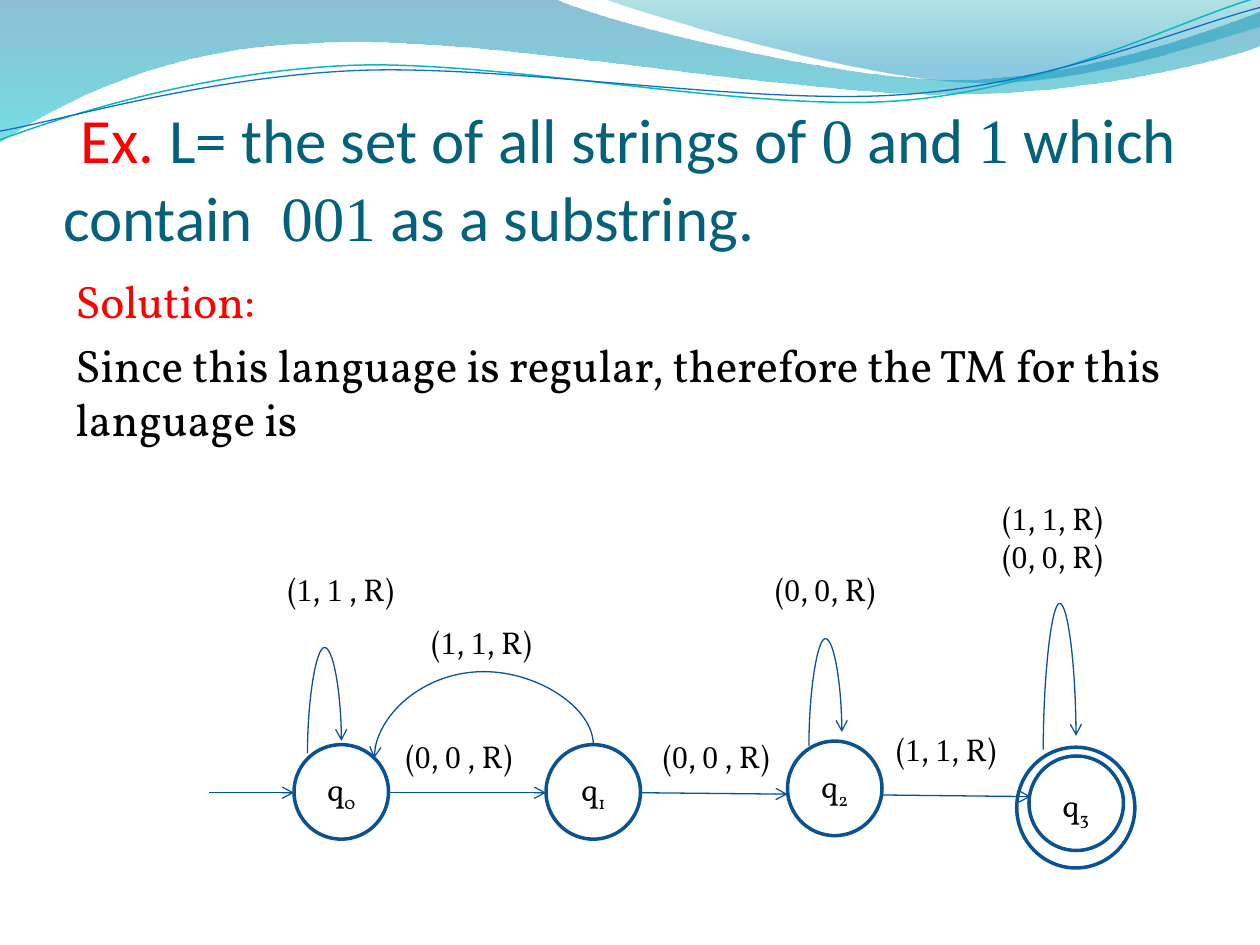
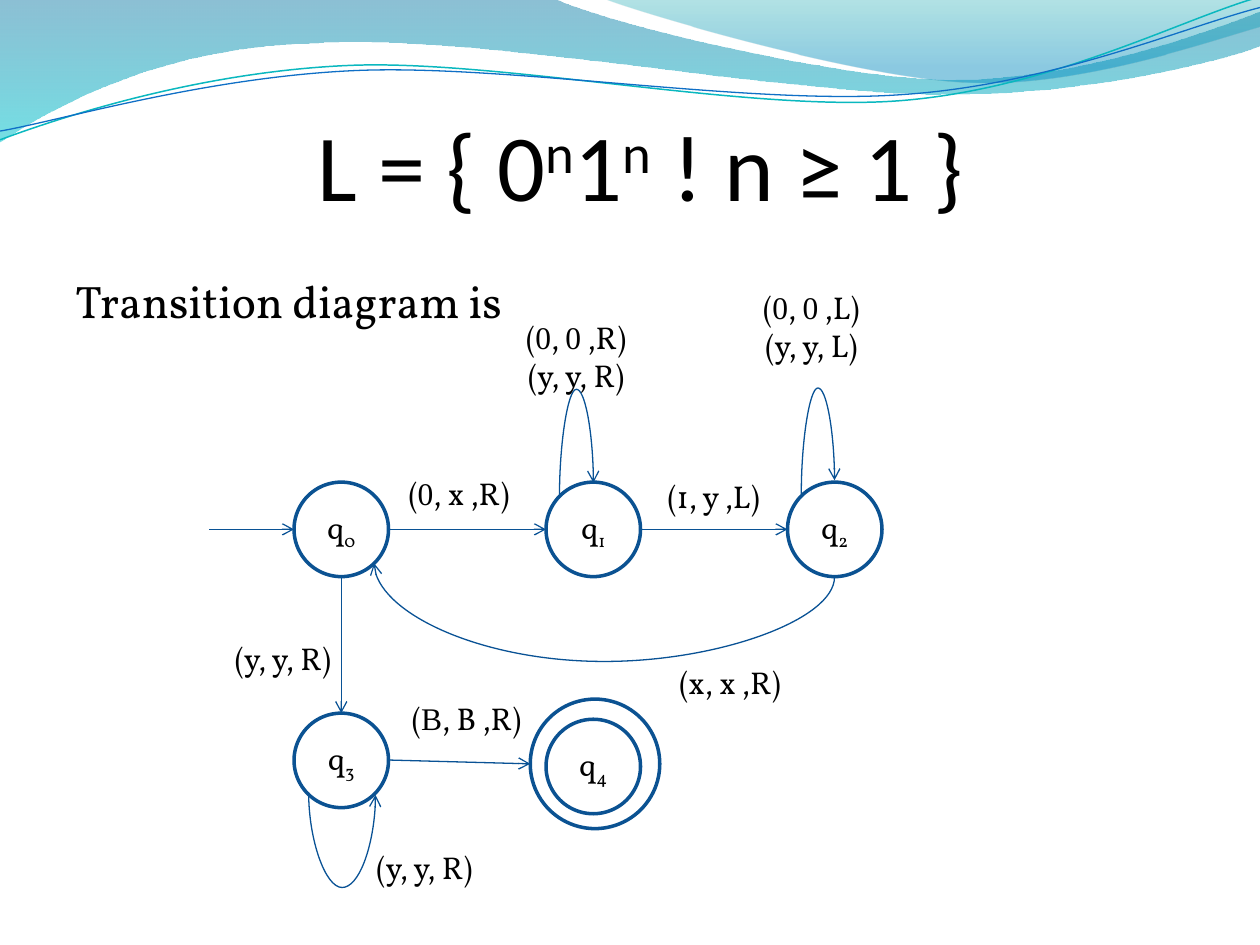
import math
import pptx
import pptx.util
import pptx.dml.color
import pptx.enum.shapes
import pptx.enum.text
import pptx.oxml.ns
import lxml.etree

Pt = pptx.util.Pt
qn = pptx.oxml.ns.qn
ALIGN = pptx.enum.text.PP_ALIGN
ANCHOR = pptx.enum.text.MSO_ANCHOR
CONNECTOR = pptx.enum.shapes.MSO_CONNECTOR
OVAL = pptx.enum.shapes.MSO_SHAPE.OVAL

BODY, HEAD, DIGIT = "Vollkorn", "Calibri", "Times New Roman"
BLACK, RED, TEAL = "000000", "FF0000", "04617B"
RING, ARROW = "0B5292", "095295"
DIAMETER = 54
TILT = 2.7


def tint(code):
    return pptx.dml.color.RGBColor.from_string(code)


def write(para, runs, look):
    for text, changes in runs:
        span = para.add_run()
        span.text = text
        values = {**look, **changes}
        span.font.color.rgb = tint(values.pop("color"))
        baseline = values.pop("baseline", None)
        if baseline:
            span._r.get_or_add_rPr().set("baseline", str(baseline * 1000))
        for name, value in values.items():
            setattr(span.font, name, value)


deck = pptx.Presentation()
deck.slide_width, deck.slide_height = Pt(720), Pt(540)
layout = deck.slide_layouts[5]

label_look = {"size": Pt(18), "name": BODY, "color": BLACK}
body_look = {"size": Pt(26), "name": BODY, "color": BLACK}
title_look = {"size": Pt(36), "name": HEAD, "color": TEAL}
formula_look = {"size": Pt(54), "name": HEAD, "color": BLACK}
digit = {"name": DIGIT}
power = {"baseline": 30}

bands = [
    {"start": (0, 0),
     "pieces": [(316.8, -0.7),
                (342.7, 12.2, 478, 45.4, 545.8, 45.4),
                (614.2, 45.4, 689.8, 18.7, 720, 6.5),
                (720.7, 25.9),
                (707.8, 31.7, 626.4, 54.7, 537.1, 54),
                (447.8, 54, 275, 20.2, 185, 24.5),
                (92.9, 25.9, 33.1, 59.8, -0.7, 81.4),
                (0, 0)],
     "stops": [(0, "0074A1", 45), (1, "00C6CF", 55)]},
    {"start": (344.9, -0.7),
     "pieces": [(366.5, 7.9, 491, 44.6, 553.7, 46.8),
                (616.3, 49.7, 691.9, 23, 720, 15.1),
                (720, 0),
                (344.9, -0.7)],
     "stops": [(0, "00A1A9", 30), (0.8, "008BBF", 45)]},
    {"start": (0, 79.9),
     "pieces": [(34.6, 67, 113.8, 41, 199.4, 37.4),
                (284.4, 33.8, 427, 64.1, 513.4, 57.6),
                (599.8, 51.1, 675.4, 10.8, 718.6, -1.4)],
     "line": ("0AB8BF", 0.85), "center": (359.3, 41.4)},
    {"start": (0, 74.9),
     "pieces": [(33.8, 69.1, 118.1, 43.9, 203.8, 40.3),
                (290.2, 36.7, 429.8, 60.5, 516.2, 54),
                (601.9, 48.2, 677.5, 15.1, 720, 4.3)],
     "line": ("0F6FC6", 0.75), "center": (359.6, 42.5)},
]

pages = [
    {"title_box": (36, 42, 648, 103.5),
     "title_align": ALIGN.LEFT,
     "title_look": title_look,
     "title": [(" ", {"size": Pt(45)}), ("Ex. ", {"color": RED}),
               ("L= the set of all strings of ", {}), ("0", digit),
               (" and ", {}), ("1", digit), (" which contain  ", {}),
               ("001", digit), (" as a substring.", {})],
     "body_height": 345.5,
     "body": [("Solution:", {"color": RED}),
              ("Since this language is regular, therefore the TM for this language is ", {})],
     "states": [(168, 425.5, DIAMETER, DIAMETER, "0"),
                (312, 425.5, DIAMETER, DIAMETER, "1"),
                (450, 423.5, DIAMETER, DIAMETER, "2"),
                (588, 432, DIAMETER, DIAMETER, ""),
                (581, 427, 67.5, 69, "3")],
     "arrows": [(119.5, 453, 168, 453), (222, 453, 312, 453),
                (366, 453, 450, 453.8), (504.7, 454.3, 589, 455.2)],
     "curves": [(462.2, 426.2, 481, 418.3, 365),
                (596.2, 428.4, 614.9, 420.5, 344.9),
                (175.7, 430.6, 195.1, 423.4, 370),
                (339.1, 425.5, 213.8, 433.4, 383.8)],
     "labels": [(262.3, 431.7, ["(*0*, *0* , R)"]),
                (409.3, 431.7, ["(*0*, *0* , R)"]),
                (471.6, 336.8, ["(*0*, *0*, R)"]),
                (540.7, 427.7, ["(*1*, *1*, R)"]),
                (601.5, 306.8, ["(*1*, *1*, R)", "(*0*, *0*, R)"]),
                (194.8, 336.5, ["(*1*, *1* , R)"]),
                (275.2, 366.9, ["(*1*, *1*, R)"])]},
    {"title_box": (41.8, 42, 648, 84),
     "title_align": ALIGN.CENTER,
     "title_look": formula_look,
     "title": [("L = { 0", {}), ("n", power), ("1", {}), ("n", power),
               (" ! n ≥ 1 }", {})],
     "body_height": 376,
     "body": [("Transition diagram is", {})],
     "states": [(168, 275.5, DIAMETER, DIAMETER, "0"),
                (312, 275.5, DIAMETER, DIAMETER, "1"),
                (450, 275.5, DIAMETER, DIAMETER, "2"),
                (168, 407.5, DIAMETER, DIAMETER, "3"),
                (312, 411, DIAMETER, DIAMETER, "4"),
                (303, 399.5, 74, 74, "")],
     "arrows": [(119.5, 302.5, 168, 302.5), (222, 302.5, 312, 302.5),
                (366, 302.5, 450, 302.5), (222, 434.3, 303, 436.5),
                (195, 329.5, 195, 407.5)],
     "curves": [(319.7, 283.7, 339.1, 275.8, 222.5),
                (457.9, 282.2, 476.9, 274.5, 221.8),
                (476.9, 329.8, 213.8, 321.8, 378),
                (176.4, 452.9, 214.6, 454.3, 507.6)],
     "labels": [(262.3, 281.5, ["(*0*, x ,R)"]),
                (329.3, 203.4, ["(*0*, *0* ,R)", "(y, y, R)"]),
                (463.7, 186.1, ["(*0*, *0* ,L)", "(y, y, L)"]),
                (242.6, 495.4, ["(y, y, R)"]),
                (266.7, 410.4, ["(*B*, B ,R)"]),
                (407.8, 283.3, ["(1, y ,L)"]),
                (417.2, 389.5, ["(x, x ,R)"]),
                (161.7, 376.2, ["(y, y, R)"])]},
]

for number, content in enumerate(pages):
    page = deck.slides.add_slide(layout)

    if number == 0:
        for band in bands:
            pieces = [list(zip(piece[::2], piece[1::2]))
                      for piece in [band["start"], *band["pieces"]]]
            if "center" in band:
                cx, cy = band["center"]
                cos, sin = math.cos(math.radians(TILT)), math.sin(math.radians(TILT))
                pieces = [[(cx + (x - cx) * cos - (y - cy) * sin,
                            cy + (x - cx) * sin + (y - cy) * cos) for x, y in piece]
                          for piece in pieces]
            corners = [(Pt(x), Pt(y)) for x, y in (piece[-1] for piece in pieces)]
            builder = page.shapes.build_freeform(*corners[0])
            builder.add_line_segments(corners[1:], close="stops" in band)
            wave = builder.convert_to_shape()
            outline = wave.element.xpath(".//a:path")[0]
            for piece, segment in zip(pieces[1:], outline.findall(qn("a:lnTo"))):
                if len(piece) == 3:
                    curve = lxml.etree.Element(qn("a:cubicBezTo"))
                    for x, y in piece:
                        point = lxml.etree.SubElement(curve, qn("a:pt"))
                        point.set("x", str(Pt(x) - wave.left))
                        point.set("y", str(Pt(y) - wave.top))
                    outline.replace(segment, curve)
            wave.shadow.inherit = False
            if "stops" in band:
                wave.line.fill.background()
                wave.fill.gradient()
                wave.fill.gradient_angle = 270
                for stop, (position, code, opacity) in zip(wave.fill.gradient_stops, band["stops"]):
                    stop.position = position
                    stop.color.rgb = tint(code)
                colors = wave.element.xpath(".//a:gs/a:srgbClr")
                for color, (position, code, opacity) in zip(colors, band["stops"]):
                    lxml.etree.SubElement(color, qn("a:alpha")).set("val", str(opacity * 1000))
            else:
                wave.rotation = 360 - TILT
                wave.fill.background()
                code, width = band["line"]
                wave.line.color.rgb = tint(code)
                wave.line.width = Pt(width)
            layout.shapes.element.append(wave.element)

    title = page.shapes.title
    title.left, title.top, title.width, title.height = map(Pt, content["title_box"])
    frame = title.text_frame
    settings = {"margin_left": 0, "margin_right": 0, "margin_top": Pt(3.6),
                "margin_bottom": 0, "vertical_anchor": ANCHOR.BOTTOM,
                "word_wrap": True, "auto_size": pptx.enum.text.MSO_AUTO_SIZE.NONE}
    for name, value in settings.items():
        setattr(frame, name, value)
    frame.paragraphs[0].alignment = content["title_align"]
    write(frame.paragraphs[0], content["title"], content["title_look"])

    box = page.shapes.add_textbox(Pt(36), Pt(152.6), Pt(648), Pt(content["body_height"]))
    box.text_frame.word_wrap = True
    for index, line in enumerate(content["body"]):
        para = box.text_frame.add_paragraph() if index else box.text_frame.paragraphs[0]
        para.space_before = Pt(5.2)
        write(para, [line], body_look)

    for left, top, width, height, name in content["states"]:
        state = page.shapes.add_shape(OVAL, Pt(left), Pt(top), Pt(width), Pt(height))
        state.shadow.inherit = False
        state.fill.background()
        state.line.color.rgb = tint(RING)
        state.line.width = Pt(2)
        if name:
            state.text_frame.vertical_anchor = ANCHOR.MIDDLE
            para = state.text_frame.paragraphs[0]
            para.alignment = ALIGN.CENTER
            write(para, [("q", {}), (name, {"baseline": -25})], label_look)

    for x1, y1, x2, y2, *bend in content["arrows"] + content["curves"]:
        if bend:
            width, height = abs(y2 - y1), abs(x2 - x1)
            left, top = (x1 + x2 - width) / 2, (y1 + y2 - height) / 2
            arrow = page.shapes.add_connector(
                CONNECTOR.CURVE, Pt(left), Pt(top), Pt(left + width), Pt(top + height))
            upward = y2 < y1
            xfrm = arrow.element.spPr.find(qn("a:xfrm"))
            xfrm.set("rot", str((90 if upward else 270) * 60000))
            xfrm.set("flipH", "1")
            if (x2 > x1) == upward:
                xfrm.set("flipV", "1")
            guide = lxml.etree.SubElement(arrow.element.xpath(".//a:avLst")[0], qn("a:gd"))
            guide.set("name", "adj1")
            guide.set("fmla", f"val {round((bend[0] - y1) / (y2 - y1) * 100000)}")
        else:
            arrow = page.shapes.add_connector(CONNECTOR.STRAIGHT, Pt(x1), Pt(y1), Pt(x2), Pt(y2))
        arrow.line.color.rgb = tint(ARROW)
        arrow.line.width = Pt(0.75)
        stroke = arrow.element.spPr.find(qn("a:ln"))
        lxml.etree.SubElement(stroke, qn("a:tailEnd")).set("type", "arrow")
        lxml.etree.SubElement(arrow.element.spPr, qn("a:effectLst"))

    for center_x, center_y, lines in content["labels"]:
        height = 42 if len(lines) == 1 else 60
        label = page.shapes.add_textbox(
            Pt(center_x - 40.5), Pt(center_y - height / 2), Pt(81), Pt(height))
        label.text_frame.word_wrap = True
        label.text_frame.vertical_anchor = ANCHOR.MIDDLE
        for index, line in enumerate(lines):
            para = label.text_frame.add_paragraph() if index else label.text_frame.paragraphs[0]
            para.alignment = ALIGN.CENTER
            parts = line.split("*")
            write(para, [(part, digit if place % 2 else {}) for place, part in enumerate(parts)],
                  label_look)

deck.save("out.pptx")
